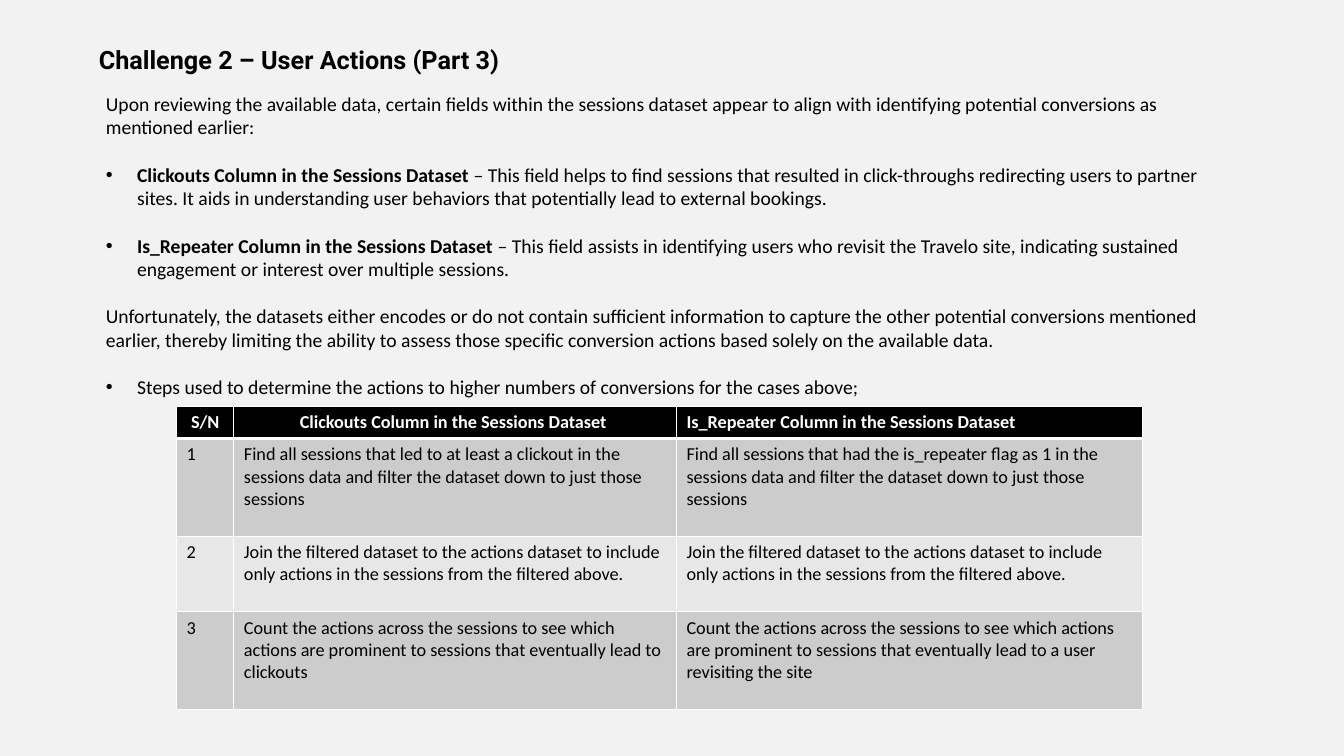
"""Build the slide on user actions, with its explanation and table of steps."""
from lxml import etree
from pptx import Presentation
from pptx.dml.color import RGBColor
from pptx.enum.text import MSO_ANCHOR, MSO_AUTO_SIZE, PP_ALIGN
from pptx.oxml.ns import qn
from pptx.util import Pt

PX = 9144
TITLE_AND_CONTENT = 1
LEFT, CENTER = PP_ALIGN.LEFT, PP_ALIGN.CENTER
TOP, MIDDLE = MSO_ANCHOR.TOP, MSO_ANCHOR.MIDDLE
NO_AUTOFIT = MSO_AUTO_SIZE.NONE
BLACK, WHITE, PAPER = "000000", "FFFFFF", "F2F2F2"
BANDS = ("CCCCCC", "E7E7E7")
BULLET_INDENT = 31

TITLE = "Challenge 2 – User Actions (Part 3)"
CLICKOUTS = "Clickouts Column in the Sessions Dataset "
REPEATER = "Is_Repeater Column in the Sessions Dataset "
PARAGRAPHS = [
    (False, "", "Upon reviewing the available data, certain fields within the sessions dataset appear "
                "to align with identifying potential conversions as mentioned earlier:"),
    (True, CLICKOUTS, "– This field helps to find sessions that resulted in click-throughs redirecting "
                      "users to partner sites. It aids in understanding user behaviors that "
                      "potentially lead to external bookings."),
    (True, REPEATER, "– This field assists in identifying users who revisit the Travelo site, "
                     "indicating sustained engagement or interest over multiple sessions."),
    (False, "", "Unfortunately, the datasets either encodes or do not contain sufficient information "
                "to capture the other potential conversions mentioned earlier, thereby limiting the "
                "ability to assess those specific conversion actions based solely on the available data."),
    (True, "", "Steps used to determine the actions to higher numbers of conversions "
               "for the cases above;"),
]

FIND = "Find all sessions that {} in the sessions data and filter the dataset down to just those sessions"
JOIN = ("Join the filtered dataset to the actions dataset to include only actions "
        "in the sessions from the filtered above.")
COUNT = "Count the actions across the sessions to see which actions are prominent to sessions that eventually lead to {}"
ROWS = [
    ("S/N", CLICKOUTS, REPEATER.strip()),
    ("1", FIND.format("led to at least a clickout"), FIND.format("had the is_repeater flag as 1")),
    ("2", JOIN, JOIN),
    ("3", COUNT.format("clickouts"), COUNT.format("a user revisiting the site")),
]
COLUMN_WIDTHS = (57, 439, 462)
ROW_HEIGHTS = (31, 97, 75, 97)


def px(length):
    """Turn whole pixels into EMU."""
    return length * PX


def rgb(color):
    """Turn a hex string into a colour."""
    return RGBColor.from_string(color)


def style(span, size, font, color, bold):
    """Format one run of text."""
    span.font.size = Pt(size)
    span.font.name = font
    span.font.color.rgb = rgb(color)
    span.font.bold = bold


def place(box, left, top, width, height, anchor):
    """Move a placeholder and fix how its text sits."""
    box.left, box.top, box.width, box.height = map(px, (left, top, width, height))
    box.text_frame.word_wrap = True
    box.text_frame.auto_size = NO_AUTOFIT
    box.text_frame.vertical_anchor = anchor


def set_bullet(para, bulleted):
    """Give a paragraph a hanging bullet, or none."""
    props = para._p.get_or_add_pPr()
    indent = px(BULLET_INDENT) if bulleted else 0
    props.set("marL", str(indent))
    props.set("indent", str(-indent))
    if bulleted:
        etree.SubElement(props, qn("a:buFont")).set("typeface", "Arial")
        etree.SubElement(props, qn("a:buChar")).set("char", "•")
    else:
        etree.SubElement(props, qn("a:buNone"))


def add_title(page):
    """Fill the title placeholder."""
    box = page.shapes.title
    place(box, 88, 39, 435, 40, MIDDLE)
    box.text_frame.text = TITLE
    para = box.text_frame.paragraphs[0]
    para.alignment = LEFT
    style(para.runs[0], 18, "Roboto", BLACK, True)


def add_body(page):
    """Fill the body placeholder with paragraphs and bullets."""
    box = page.placeholders[1]
    place(box, 95, 86, 1105, 364, TOP)
    frame = box.text_frame
    for index, (bulleted, lead, text) in enumerate(PARAGRAPHS):
        para = frame.add_paragraph() if index else frame.paragraphs[0]
        para.alignment = LEFT
        para.line_spacing = 1.0
        para.space_before = Pt(17 if index else 0)
        para.space_after = Pt(0)
        set_bullet(para, bulleted)
        for words, bold in ((lead, True), (text, False)):
            if words:
                span = para.add_run()
                span.text = words
                style(span, 14, "Calibri", BLACK, bold)


def set_border(cell, side, width):
    """Draw one white side of a cell."""
    line = etree.SubElement(cell._tc.get_or_add_tcPr(), qn(f"a:ln{side}"), w=str(Pt(width)))
    fill = etree.SubElement(line, qn("a:solidFill"))
    etree.SubElement(fill, qn("a:srgbClr")).set("val", WHITE)


def fill_cell(cell, text, row, column):
    """Write and format one table cell."""
    header = row == 0
    heavy_side = {0: "B", 1: "T"}.get(row)
    for side in "LRTB":
        set_border(cell, side, 3 if side == heavy_side else 1)
    cell.fill.solid()
    cell.fill.fore_color.rgb = rgb(BLACK if header else BANDS[(row - 1) % 2])
    cell.text_frame.text = text
    para = cell.text_frame.paragraphs[0]
    para.alignment = CENTER if header and column < 2 else LEFT
    style(para.runs[0], 13, "Calibri", WHITE if header else BLACK, header)


def add_steps_table(page):
    """Add the table of steps for both columns."""
    frame = page.shapes.add_table(len(ROWS), len(COLUMN_WIDTHS), px(175), px(403),
                                  px(sum(COLUMN_WIDTHS)), px(sum(ROW_HEIGHTS)))
    table = frame.table
    for column, width in zip(table.columns, COLUMN_WIDTHS):
        column.width = px(width)
    for row, height in zip(table.rows, ROW_HEIGHTS):
        row.height = px(height)
    for row, texts in enumerate(ROWS):
        for column, text in enumerate(texts):
            fill_cell(table.cell(row, column), text, row, column)


def main():
    """Build and save the deck."""
    deck = Presentation()
    deck.slide_width, deck.slide_height = px(1333), px(750)
    page = deck.slides.add_slide(deck.slide_layouts[TITLE_AND_CONTENT])
    page.background.fill.solid()
    page.background.fill.fore_color.rgb = rgb(PAPER)
    add_title(page)
    add_body(page)
    add_steps_table(page)
    deck.save("out.pptx")


if __name__ == "__main__":
    main()
